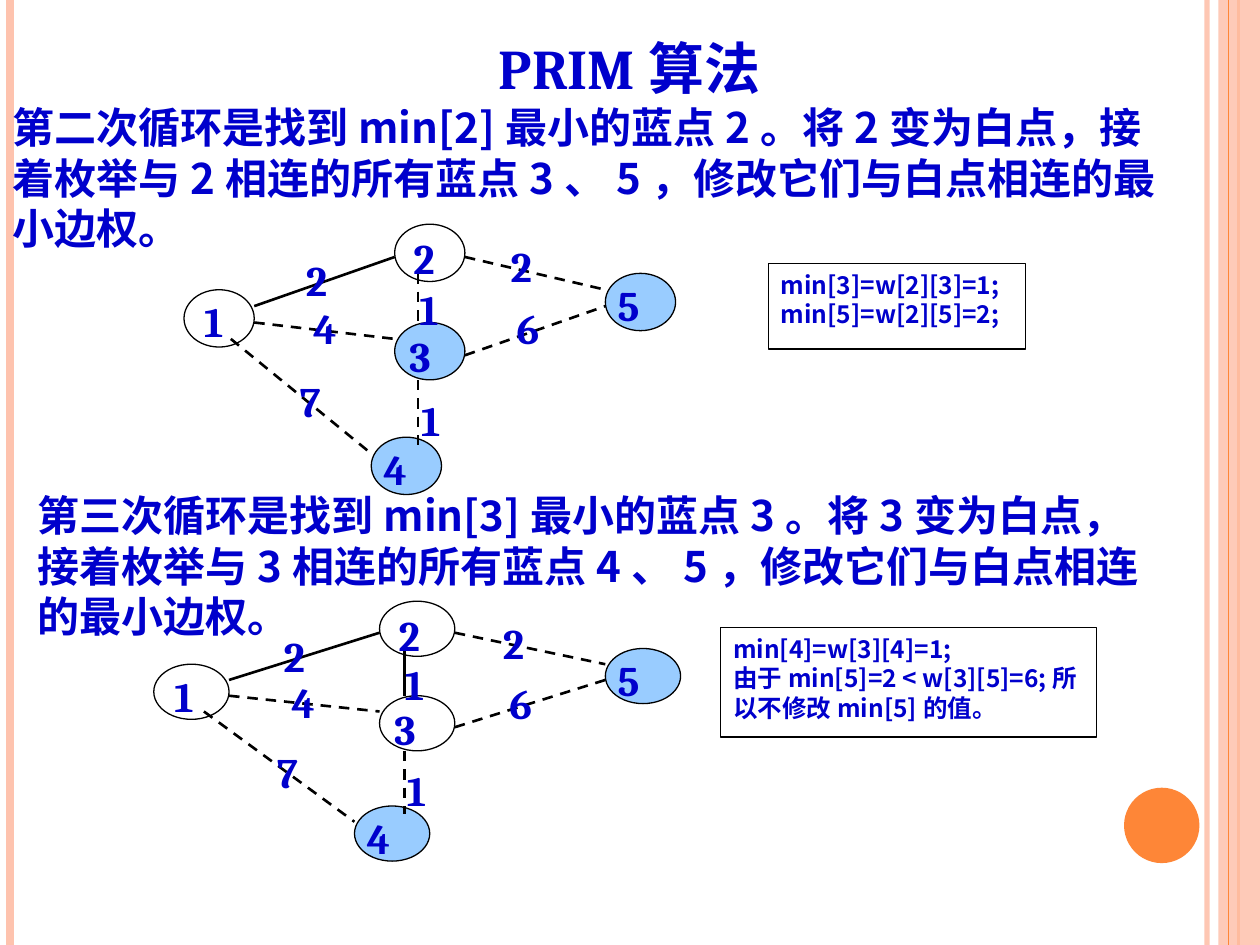
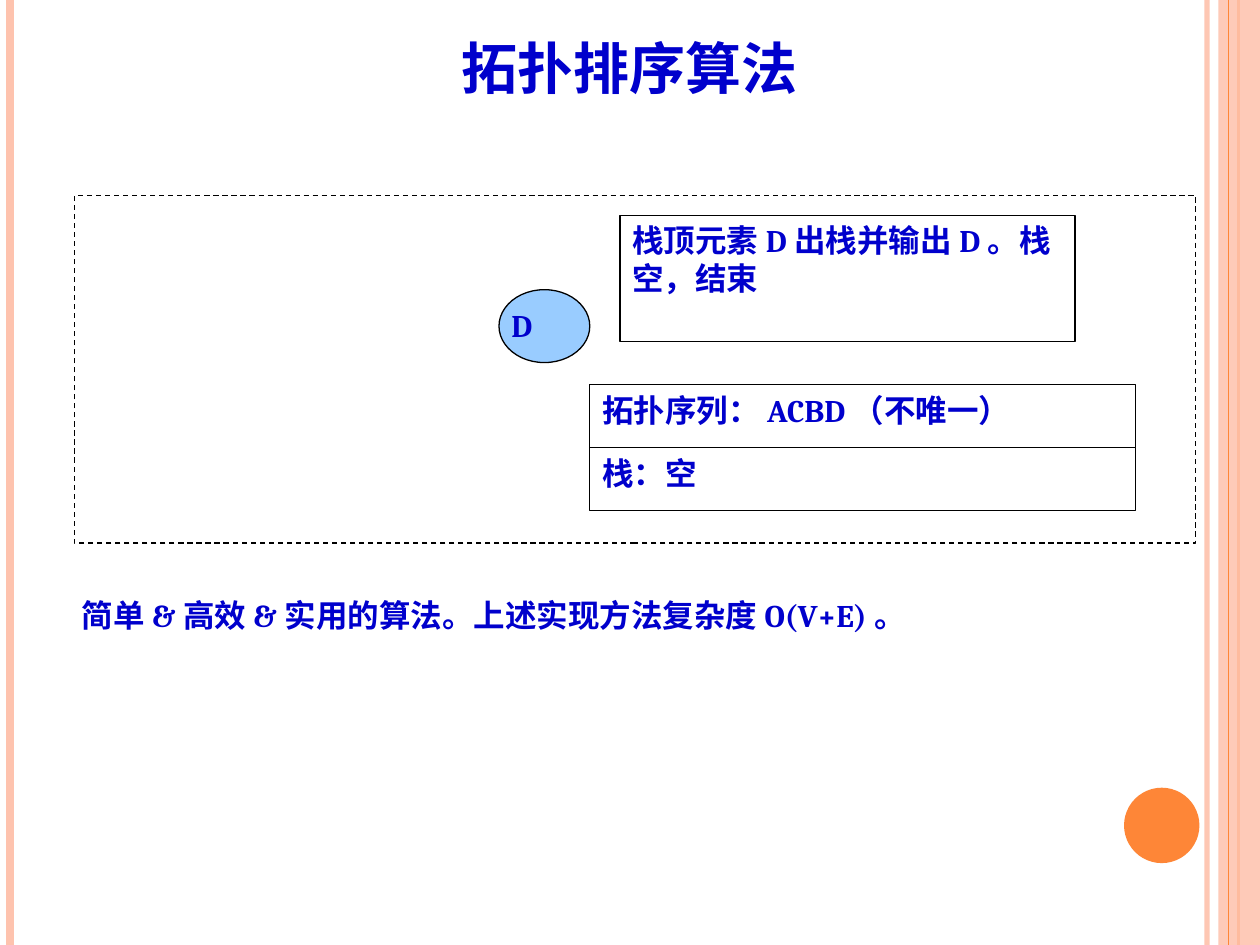
from dataclasses import dataclass

from lxml import etree
from pptx import Presentation
from pptx.dml.color import RGBColor
from pptx.enum.dml import MSO_LINE
from pptx.enum.shapes import MSO_CONNECTOR, MSO_SHAPE
from pptx.enum.text import MSO_ANCHOR, PP_ALIGN
from pptx.oxml.ns import qn
from pptx.util import Cm, Pt


@dataclass(frozen=True)
class Theme:
    text: RGBColor = RGBColor(0x00, 0x00, 0xCC)
    outline: RGBColor = RGBColor(0x00, 0x00, 0x00)
    paper: RGBColor = RGBColor(0xFF, 0xFF, 0xFF)
    blue_node: RGBColor = RGBColor(0x99, 0xCC, 0xFF)
    orange: RGBColor = RGBColor(0xFE, 0x86, 0x37)
    peach: RGBColor = RGBColor(0xFE, 0xC3, 0xAE)
    serif: str = "Cambria"
    sans: str = "Noto Sans CJK SC"
    title_size: int = 32
    body_size: int = 24
    box_size: int = 18
    note_size: int = 14
    thin: float = 0.75
    edge: float = 1.5


THEME = Theme()
SLIDE_WIDTH, SLIDE_HEIGHT = 25.4, 19.05

# Graph positions are in grid units; a node is NODE_COLUMNS by NODE_ROWS units.
GRID_COLUMNS, GRID_ROWS = 21, 16.5
NODE_COLUMNS, NODE_ROWS = 3, 3.5
NODES = {1: (0, 4), 2: (9, 0), 3: (9, 6), 4: (8, 13), 5: (18, 3)}
NODE_LABELS = {1: (0.33, 4), 2: (9.27, 0.15), 3: (9.1, 6.1), 4: (8, 13), 5: (18, 3)}
# (nodes joined): (start, end, weight, weight position)
EDGES = {
    (1, 2): ((3, 5), (9, 2), "2", (4.68, 1.45)),
    (1, 4): ((2, 7), (8, 14), "7", (4.42, 8.85)),
    (1, 3): ((3, 6), (9, 7), "4", (5, 4.4)),
    (2, 3): ((10, 3), (10, 6), "1", (9.52, 3.25)),
    (3, 4): ((10, 9.5), (10, 13.5), "1", (9.6, 10)),
    (3, 5): ((12, 8), (18, 5), "6", (13.68, 4.43)),
    (2, 5): ((12, 2), (18, 4), "2", (13.42, 0.62)),
}


def set_alpha(color_parent, percent):
    color = next(color_parent.iter(qn("a:srgbClr")))
    etree.SubElement(color, qn("a:alpha")).set("val", str(percent * 1000))


def write_text(shape, text, *, size, font=THEME.serif, align=PP_ALIGN.LEFT,
               anchor=MSO_ANCHOR.TOP):
    """Fill a shape with bold text, one paragraph per line."""
    frame = shape.text_frame
    frame.word_wrap = True
    frame.vertical_anchor = anchor
    frame.text = text
    for paragraph in frame.paragraphs:
        paragraph.alignment = align
        for run in paragraph.runs:
            run.font.size = Pt(size)
            run.font.bold = True
            run.font.name = font
            run.font.color.rgb = THEME.text
            east_asian = etree.SubElement(run.font._element, qn("a:ea"))
            east_asian.set("typeface", THEME.sans)


def add_text(shapes, text, left, top, width, height, **text_format):
    box = shapes.add_textbox(Cm(left), Cm(top), Cm(width), Cm(height))
    write_text(box, text, **text_format)
    return box


def add_figure(shapes, kind, left, top, width, height, *, fill=None,
               line=THEME.outline, dash=None):
    shape = shapes.add_shape(kind, Cm(left), Cm(top), Cm(width), Cm(height))
    shape.shadow.inherit = False
    if fill is None:
        shape.fill.background()
    else:
        shape.fill.solid()
        shape.fill.fore_color.rgb = fill
    if line is None:
        shape.line.fill.background()
    else:
        shape.line.color.rgb = line
        shape.line.width = Pt(THEME.thin)
        shape.line.dash_style = dash
    return shape


def add_line(shapes, start, end, *, color=THEME.outline, width=THEME.edge, dash=None):
    line = shapes.add_connector(MSO_CONNECTOR.STRAIGHT,
                                *(Cm(value) for value in (*start, *end)))
    line.line.color.rgb = color
    line.line.width = Pt(width)
    line.line.dash_style = dash
    etree.SubElement(line._element.spPr, qn("a:effectLst"))
    return line


def add_text_box(shapes, text, left, top, width, height, **text_format):
    """Outlined white box holding text."""
    box = add_figure(shapes, MSO_SHAPE.RECTANGLE, left, top, width, height,
                     fill=THEME.paper)
    write_text(box, text, **text_format)


def add_page(presentation, title):
    """Blank slide with the side bands, the orange dot and the title."""
    slide = presentation.slides.add_slide(presentation.slide_layouts[6])
    shapes = slide.shapes

    def add_stripe(x, color, width):
        return add_line(shapes, (x, 0), (x, SLIDE_HEIGHT), color=color, width=width)

    set_alpha(add_stripe(24.33, THEME.peach, 3)._element.spPr, 93)
    add_stripe(0.21, THEME.peach, 4.5)
    add_stripe(24.97, THEME.orange, 1.5)
    band = add_figure(shapes, MSO_SHAPE.RECTANGLE, 24.56, 0, 0.84, SLIDE_HEIGHT,
                      fill=THEME.peach, line=None)
    set_alpha(band._element.spPr, 87)
    add_stripe(24.77, THEME.orange, 0.75)
    add_figure(shapes, MSO_SHAPE.OVAL, 22.66, 15.88, 1.52, 1.52,
               fill=THEME.orange, line=None)
    add_text(shapes, title, 1.27, 0.53, 22.86, 1.63, size=THEME.title_size,
             align=PP_ALIGN.CENTER, anchor=MSO_ANCHOR.BOTTOM)
    return slide


def add_graph(shapes, left, top, width, height, *, blue_nodes, solid_edges):
    """Weighted graph fitted to the given area."""
    column, row = width / GRID_COLUMNS, height / GRID_ROWS

    def place(point):
        return left + point[0] * column, top + point[1] * row

    def add_label(text, point):
        add_text(shapes, text, *place(point), 1.42, 1, size=THEME.body_size)

    for node, point in NODES.items():
        add_figure(shapes, MSO_SHAPE.OVAL, *place(point),
                   NODE_COLUMNS * column, NODE_ROWS * row,
                   fill=THEME.blue_node if node in blue_nodes else None)
    for joined, (start, end, _, _) in EDGES.items():
        add_line(shapes, place(start), place(end),
                 dash=None if joined in solid_edges else MSO_LINE.DASH)
    for node, point in NODE_LABELS.items():
        add_label(str(node), point)
    for _, _, weight, point in EDGES.values():
        add_label(weight, point)


def add_prim_step(slide, text, text_area, graph_area, note, note_area, **graph_state):
    """One pass of the loop: explanation, graph and updated values."""
    add_text(slide.shapes, text, *text_area, size=THEME.body_size, font=THEME.sans)
    group = slide.shapes.add_group_shape()
    add_graph(group.shapes, *graph_area, **graph_state)
    add_text_box(group.shapes, note, *note_area, size=THEME.note_size, font=THEME.sans)


def build_prim_slide(presentation):
    slide = add_page(presentation, "PRIM算法")
    add_prim_step(
        slide,
        "第二次循环是找到min[2]最小的蓝点2。将2变为白点，接着枚举与2相连的所有蓝点3、5，"
        "修改它们与白点相连的最小边权。",
        (0, 1.93, 23.62, 3.3), (3.71, 4.52, 9.91, 5.45),
        "min[3]=w[2][3]=1;\nmin[5]=w[2][5]=2;", (15.49, 5.31, 5.18, 1.73),
        blue_nodes={3, 4, 5}, solid_edges={(1, 2)})
    add_prim_step(
        slide,
        "第三次循环是找到min[3]最小的蓝点3。将3变为白点，接着枚举与3相连的所有蓝点4、5，"
        "修改它们与白点相连的最小边权。",
        (0.51, 9.75, 23.04, 3.3), (3.1, 12.12, 10.62, 5.24),
        "min[4]=w[3][4]=1;\n由于min[5]=2 < w[3][5]=6;所以不修改min[5]的值。",
        (14.53, 12.65, 7.57, 2.21),
        blue_nodes={4, 5}, solid_edges={(1, 2), (2, 3)})


def build_topological_slide(presentation):
    slide = add_page(presentation, "拓扑排序算法")
    shapes = slide.shapes.add_group_shape().shapes
    add_figure(shapes, MSO_SHAPE.RECTANGLE, 1.5, 3.94, 22.6, 7.01, dash=MSO_LINE.DASH)
    add_figure(shapes, MSO_SHAPE.OVAL, 10.06, 5.84, 1.83, 1.47, fill=THEME.blue_node)
    add_text(shapes, "D", 10.06, 6.05, 1.57, 1.27, size=THEME.box_size)
    add_text_box(shapes, "栈顶元素D出栈并输出D。栈空，结束", 12.5, 4.34, 9.17, 2.54,
                 size=THEME.box_size)
    row_height = 1.27
    for index, text in enumerate(("拓扑序列：ACBD（不唯一）", "栈：空")):
        add_text_box(shapes, text, 11.89, 7.75 + index * row_height, 11, row_height,
                     size=THEME.box_size)
    add_text(slide.shapes, "简单&高效&实用的算法。上述实现方法复杂度O(V+E)。",
             1.4, 11.89, 23.09, 1.02, size=THEME.box_size)


def main():
    presentation = Presentation()
    presentation.slide_width = Cm(SLIDE_WIDTH)
    presentation.slide_height = Cm(SLIDE_HEIGHT)
    build_prim_slide(presentation)
    build_topological_slide(presentation)
    presentation.save("out.pptx")


if __name__ == "__main__":
    main()
